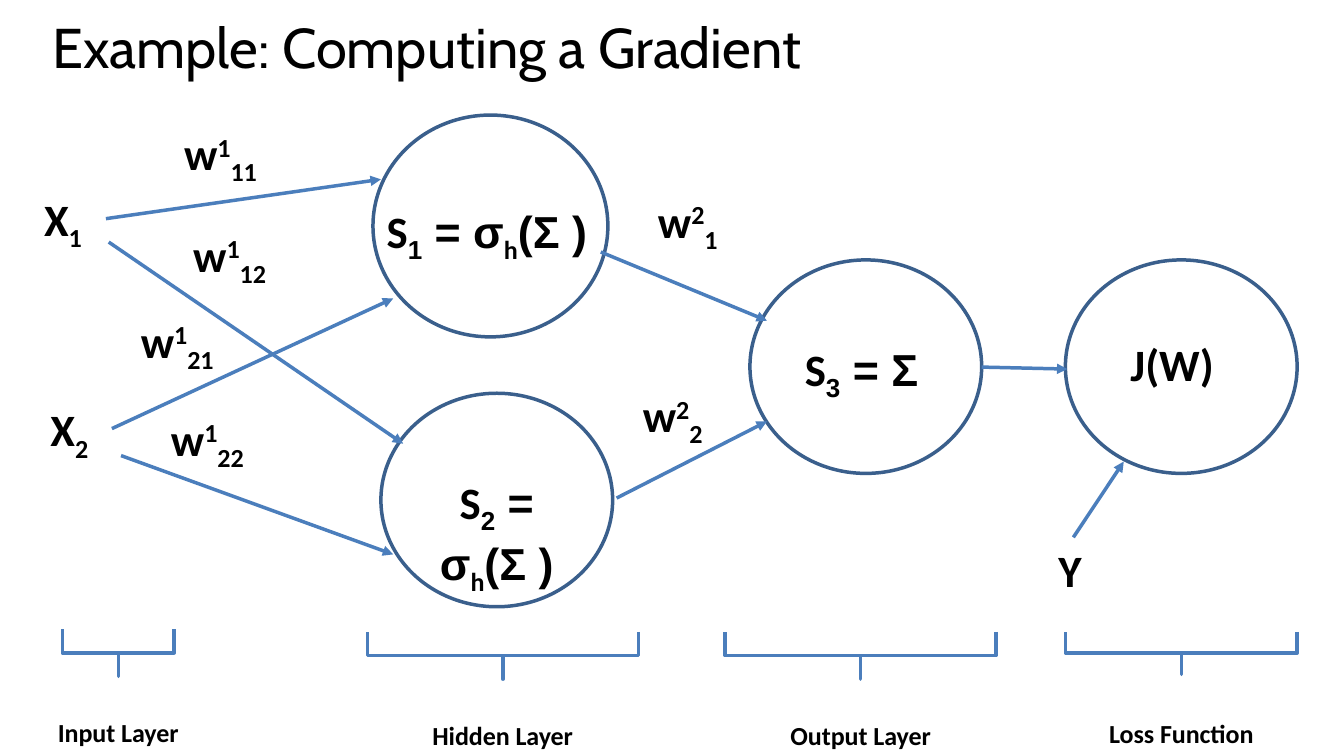
from dataclasses import dataclass

from lxml.etree import SubElement
from pptx import Presentation
from pptx.dml.color import RGBColor
from pptx.enum.shapes import MSO_CONNECTOR, MSO_SHAPE
from pptx.enum.text import MSO_ANCHOR, PP_ALIGN
from pptx.oxml.ns import qn
from pptx.util import Cm, Pt


@dataclass(frozen=True)
class Theme:
    ink: RGBColor = RGBColor(0x00, 0x00, 0x00)
    arrow: RGBColor = RGBColor(0x4B, 0x7E, 0xBC)
    outline: RGBColor = RGBColor(0x3A, 0x5F, 0x8C)
    title_font: str = "Cabin"
    text_font: str = "Calibri"
    math_font: str = "Arial"
    title_size: Pt = Pt(40)
    text_size: Pt = Pt(32)
    stroke: Pt = Pt(2.5)


theme = Theme()
SUB, SUPER = -25, 30

prs = Presentation()
prs.slide_width, prs.slide_height = Cm(33.87), Cm(19.05)
slide = prs.slides.add_slide(prs.slide_layouts[5])


def write(runs, left, top, width, height=1.63, align=PP_ALIGN.LEFT):
    frame = slide.shapes.add_textbox(Cm(left), Cm(top), Cm(width), Cm(height)).text_frame
    frame.word_wrap = True
    paragraph = frame.paragraphs[0]
    paragraph.alignment = align
    paragraph.font.size = theme.text_size
    paragraph.font.bold = True
    paragraph.font.color.rgb = theme.ink
    fonts = {font for _, _, font in runs}
    if len(fonts) == 1:
        paragraph.font.name = runs[0][2]
    for text, baseline, font in runs:
        run = paragraph.add_run()
        run.text = text
        if len(fonts) > 1:
            run.font.name = font
        if baseline:
            run._r.get_or_add_rPr().set("baseline", str(baseline * 1000))


def draw(preset, left, top, width, height, color):
    shape = slide.shapes.add_shape(preset, Cm(left), Cm(top), Cm(width), Cm(height))
    shape.shadow.inherit = False
    shape.fill.background()
    shape.line.color.rgb = color
    shape.line.width = theme.stroke
    return shape


title = slide.shapes.title
title.left, title.top, title.width, title.height = Cm(1.07), Cm(0.51), Cm(32), Cm(2.26)
title.text_frame.text = "Example: Computing a Gradient"
title.text_frame.vertical_anchor = MSO_ANCHOR.TOP
heading = title.text_frame.paragraphs[0]
heading.alignment = PP_ALIGN.LEFT
heading.line_spacing = 0.8
heading.font.name = theme.title_font
heading.font.size = theme.title_size
heading.font.color.rgb = theme.ink

neurons = [
    (9.4, 2.9, 5.92, 5.59),
    (9.6, 9.91, 5.84, 5.38),
    (18.9, 6.55, 5.84, 5.38),
    (26.85, 6.55, 5.84, 5.38),
]
for left, top, width, height in neurons:
    draw(MSO_SHAPE.OVAL, left, top, width, height, theme.outline)

hidden_units = [("1", "(Σ ) ", 9.4, 5, 5.74), ("2", "(Σ )", 9.75, 11.84, 5.54)]
for index, total, left, top, width in hidden_units:
    write([("S", 0, theme.text_font), (index, SUB, theme.math_font),
           (" = σ", 0, theme.math_font), ("h", SUB, theme.text_font),
           (total, 0, theme.math_font)], left, top, width, align=PP_ALIGN.CENTER)
write([("S", 0, theme.text_font), ("3", SUB, theme.math_font),
       (" = Σ ", 0, theme.math_font)], 19.15, 8.48, 5.44, align=PP_ALIGN.CENTER)
write([("J(W)", 0, theme.text_font)], 26.82, 8.36, 5.44, align=PP_ALIGN.CENTER)

for index, left, top in [("1", 0.86, 4.7), ("2", 1.02, 10.01)]:
    write([("X", 0, theme.text_font), (index, SUB, theme.text_font)], left, top, 1.78)
write([("Y", 0, theme.text_font)], 26.42, 13.54, 1.27)

weights = [
    ("1", "11", 4.39, 3.05),
    ("1", "12", 4.62, 5.61),
    ("1", "21", 3.3, 7.77),
    ("1", "22", 4.06, 10.24),
    ("2", "1", 16.33, 4.75),
    ("2", "2", 15.95, 9.65),
]
for layer, index, left, top in weights:
    write([("w", 0, theme.text_font), (layer, SUPER, theme.text_font),
           (index, SUB, theme.text_font)], left, top, 2.57)

signals = [
    (2.67, 5.51, 9.6, 4.52),
    (2.74, 6.1, 10.16, 11.18),
    (2.82, 10.8, 9.91, 7.52),
    (3.05, 11.48, 9.91, 13.97),
    (15.14, 6.35, 19.33, 8.08),
    (15.54, 12.55, 19.33, 10.62),
    (24.74, 9.25, 26.9, 9.3),
    (27.05, 13.54, 28.32, 11.63),
]
for ends in signals:
    signal = slide.shapes.add_connector(MSO_CONNECTOR.STRAIGHT, *map(Cm, ends))
    signal.line.color.rgb = theme.arrow
    signal.line.width = theme.stroke
    SubElement(signal.line._get_or_add_ln(), qn("a:tailEnd"), type="triangle")
    SubElement(signal._element.spPr, qn("a:effectLst"))

layers = [
    ("Input Layer", 2.98, 16.45, 2.82, 1.19),
    ("Hidden Layer", 12.67, 16.52, 6.83, 1.19),
    ("Output Layer", 21.69, 16.52, 6.83, 1.19),
    ("Loss Function", 29.77, 16.46, 5.84, 1.07),
]
label_width = 5.84
for name, center, middle, span, depth in layers:
    brace = draw(MSO_SHAPE.RIGHT_BRACE, center - depth / 2, middle - span / 2,
                 depth, span, theme.arrow)
    brace.rotation = 90
    brace.adjustments[0] = 0
    brace.adjustments[1] = 0.5
    write([(name, SUB, theme.text_font)], center - label_width / 2, middle + 0.73,
          label_width, 1.17, PP_ALIGN.CENTER)

prs.save("out.pptx")
